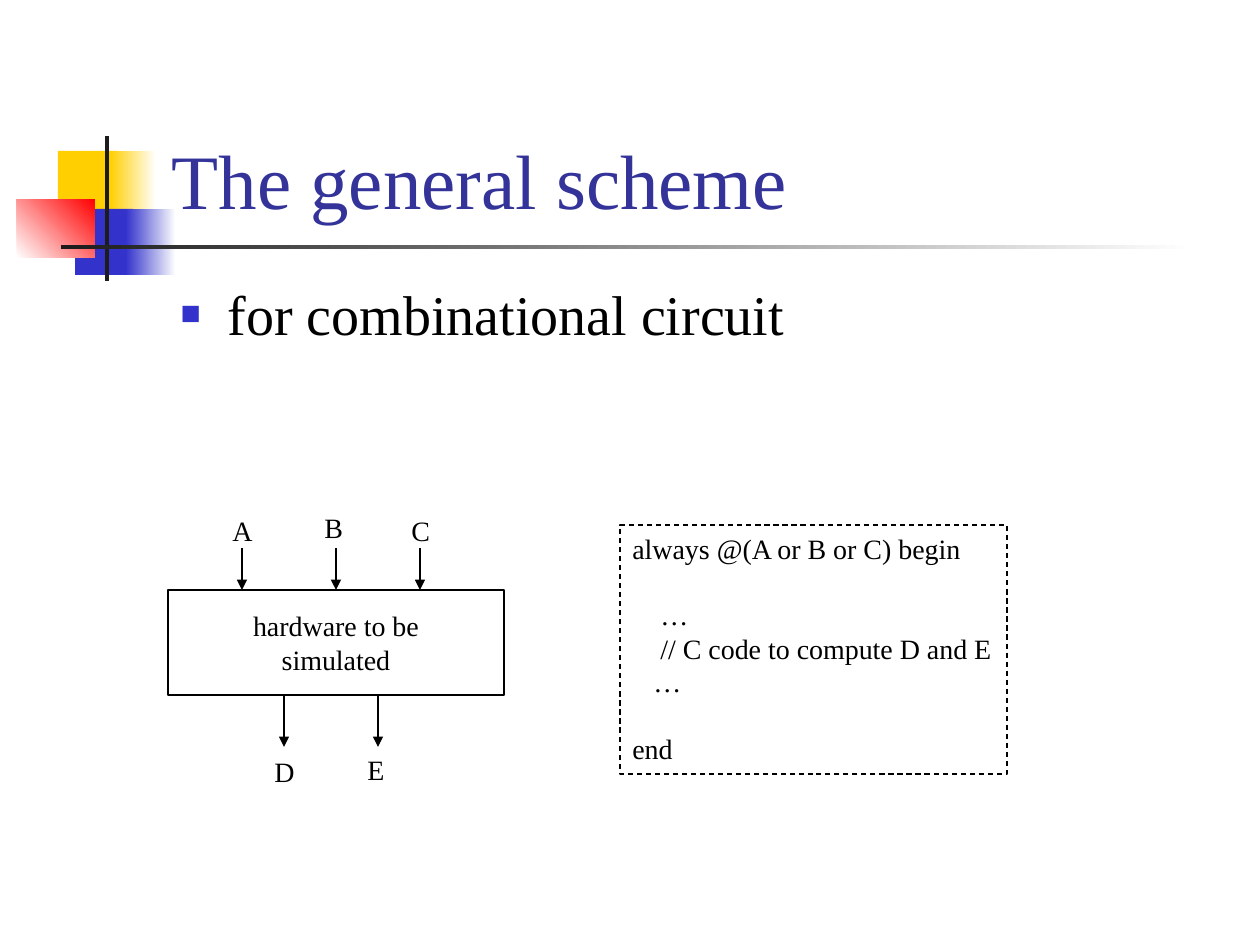
from dataclasses import dataclass
from typing import Any, Optional

from lxml import etree
from pptx import Presentation
from pptx.dml.color import RGBColor
from pptx.enum.dml import MSO_LINE
from pptx.enum.shapes import MSO_CONNECTOR, MSO_SHAPE
from pptx.enum.text import MSO_ANCHOR, MSO_AUTO_SIZE, PP_ALIGN
from pptx.oxml.ns import qn
from pptx.util import Emu, Pt

RECT = MSO_SHAPE.RECTANGLE
STRAIGHT = MSO_CONNECTOR.STRAIGHT
DASH = MSO_LINE.DASH
LEFT, CENTER = PP_ALIGN.LEFT, PP_ALIGN.CENTER
TOP, MIDDLE, BOTTOM = MSO_ANCHOR.TOP, MSO_ANCHOR.MIDDLE, MSO_ANCHOR.BOTTOM
FIXED, GROW = MSO_AUTO_SIZE.NONE, MSO_AUTO_SIZE.SHAPE_TO_FIT_TEXT

FONT = "Times New Roman"
BLACK = RGBColor(0x00, 0x00, 0x00)
WHITE = RGBColor(0xFF, 0xFF, 0xFF)
DARK = RGBColor(0x1C, 0x1C, 0x1C)
YELLOW = RGBColor(0xFF, 0xCF, 0x01)
BLUE = RGBColor(0x33, 0x33, 0xCC)
RED = RGBColor(0xFF, 0x00, 0x00)
TITLE_BLUE = RGBColor(0x33, 0x33, 0x99)

EMU_PER_PX = 914400 / 126
LINE_WIDTH = Pt(0.75)
LINE_PITCH = Pt(19.15)
BOX_TOP, BOX_HEIGHT = 590, 105


@dataclass(frozen=True)
class Block:
    """A coloured block of the slide's ornament."""
    x: int
    y: int
    w: int
    h: int
    color: RGBColor
    fade_to: Optional[RGBColor] = None
    angle: int = 0


@dataclass(frozen=True)
class Signal:
    """A named wire of the circuit, with the place of its label."""
    name: str
    x: int
    label_x: int
    label_y: int
    is_input: bool


@dataclass(frozen=True)
class Line:
    """A line of code, its indent in pixels and the gap above in lines."""
    text: str
    indent: int = 0
    gap: int = 0


BLOCKS = [
    Block(58, 151, 60, 66, YELLOW),
    Block(110, 151, 46, 66, YELLOW, WHITE),
    Block(75, 209, 58, 66, BLUE),
    Block(126, 209, 50, 66, BLUE, WHITE),
    Block(17, 199, 78, 59, WHITE, RED, 45),
    Block(105, 136, 4, 145, DARK),
    Block(61, 245, 1134, 4, DARK, WHITE),
]
SIGNALS = [
    Signal("A", 242, 220, 507, True),
    Signal("B", 336, 312, 504, True),
    Signal("C", 420, 399, 507, True),
    Signal("D", 284, 262, 748, False),
    Signal("E", 378, 355, 746, False),
]
CODE = [
    Line("always @(A or B or C) begin"),
    Line("…", indent=28, gap=1),
    Line("// C code to compute D and E", indent=28),
    Line("…", indent=21),
    Line("end", gap=1),
]


def px(n: int) -> Emu:
    """Turn pixels into EMU."""
    return Emu(round(n * EMU_PER_PX))


def write(sp: Any, lines: list[Line], *, size: int = 16, color: RGBColor = BLACK,
          align: Any = LEFT, anchor: Any = TOP, wrap: bool = False,
          auto_size: Any = FIXED, pitch: Optional[Pt] = LINE_PITCH) -> None:
    """Fill a shape with formatted lines of text."""
    tf = sp.text_frame
    tf.word_wrap, tf.auto_size, tf.vertical_anchor = wrap, auto_size, anchor
    for i, line in enumerate(lines):
        p = tf.paragraphs[0] if i == 0 else tf.add_paragraph()
        p.alignment = align
        if pitch:
            p.line_spacing = pitch
        if line.gap:
            p.space_before = Emu(line.gap * LINE_PITCH)
        if line.indent:
            p._p.get_or_add_pPr().set("marL", str(px(line.indent)))
        r = p.add_run()
        r.text = line.text
        r.font.name, r.font.size, r.font.color.rgb = FONT, Pt(size), color


def place(sp: Any, x: int, y: int, w: int, h: int) -> None:
    """Move and size a shape."""
    sp.left, sp.top, sp.width, sp.height = px(x), px(y), px(w), px(h)


def add_block(shapes: Any, block: Block) -> None:
    """Draw a plain or fading block."""
    sp = shapes.add_shape(RECT, px(block.x), px(block.y), px(block.w), px(block.h))
    sp.shadow.inherit = False
    sp.line.fill.background()
    if block.fade_to is None:
        sp.fill.solid()
        sp.fill.fore_color.rgb = block.color
        return
    sp.fill.gradient()
    sp.fill.gradient_angle = block.angle
    for i, color in enumerate((block.color, block.fade_to)):
        stop = sp.fill.gradient_stops[i]
        stop.position, stop.color.rgb = i, color


def add_frame(shapes: Any, x: int, y: int, w: int, h: int) -> Any:
    """Draw an unfilled black frame."""
    sp = shapes.add_shape(RECT, px(x), px(y), px(w), px(h))
    sp.shadow.inherit = False
    sp.fill.background()
    sp.line.color.rgb, sp.line.width = BLACK, LINE_WIDTH
    return sp


def add_signal(shapes: Any, signal: Signal) -> None:
    """Draw a signal's arrow and its label."""
    y1, y2 = (548, BOX_TOP) if signal.is_input else (BOX_TOP + BOX_HEIGHT, 747)
    line = shapes.add_connector(STRAIGHT, px(signal.x), px(y1), px(signal.x), px(y2))
    line.line.color.rgb, line.line.width = BLACK, LINE_WIDTH
    etree.SubElement(line.line._get_or_add_ln(), qn("a:tailEnd"), type="triangle")
    etree.SubElement(line._element.spPr, qn("a:effectLst"))
    label = shapes.add_textbox(px(signal.label_x), px(signal.label_y), px(44), px(46))
    write(label, [Line(signal.name)], auto_size=GROW)


def add_bullet(p: Any) -> None:
    """Give a paragraph a small blue square bullet."""
    pPr = p._p.get_or_add_pPr()
    pPr.set("marL", str(px(47)))
    pPr.set("indent", str(px(-47)))
    color = etree.SubElement(pPr, qn("a:buClr"))
    etree.SubElement(color, qn("a:srgbClr"), val=str(BLUE))
    etree.SubElement(pPr, qn("a:buSzPct"), val="60000")
    etree.SubElement(pPr, qn("a:buFont"), typeface=FONT)
    etree.SubElement(pPr, qn("a:buChar"), char="■")


prs = Presentation()
prs.slide_width, prs.slide_height = px(1260), px(945)
slide = prs.slides.add_slide(prs.slide_layouts[1])
shapes = slide.shapes
title, body = slide.placeholders

for block in BLOCKS:
    add_block(shapes, block)

for placeholder in (title, body):
    shapes._spTree.append(placeholder._element)
place(title, 159, 29, 1074, 202)
write(title, [Line("The general scheme")], size=44, color=TITLE_BLUE,
      anchor=BOTTOM, wrap=True, pitch=None)
place(body, 168, 273, 1071, 116)
write(body, [Line("for combinational circuit")], size=32, wrap=True, pitch=None)
add_bullet(body.text_frame.paragraphs[0])

circuit = shapes.add_group_shape().shapes
hardware = add_frame(circuit, 168, BOX_TOP, 336, BOX_HEIGHT)
write(hardware, [Line("hardware to be"), Line("simulated")], align=CENTER, anchor=MIDDLE)
for signal in SIGNALS:
    add_signal(circuit, signal)

code = add_frame(shapes, 620, 525, 387, 249)
code.line.dash_style = DASH
write(code, CODE, auto_size=GROW)

prs.save("out.pptx")
